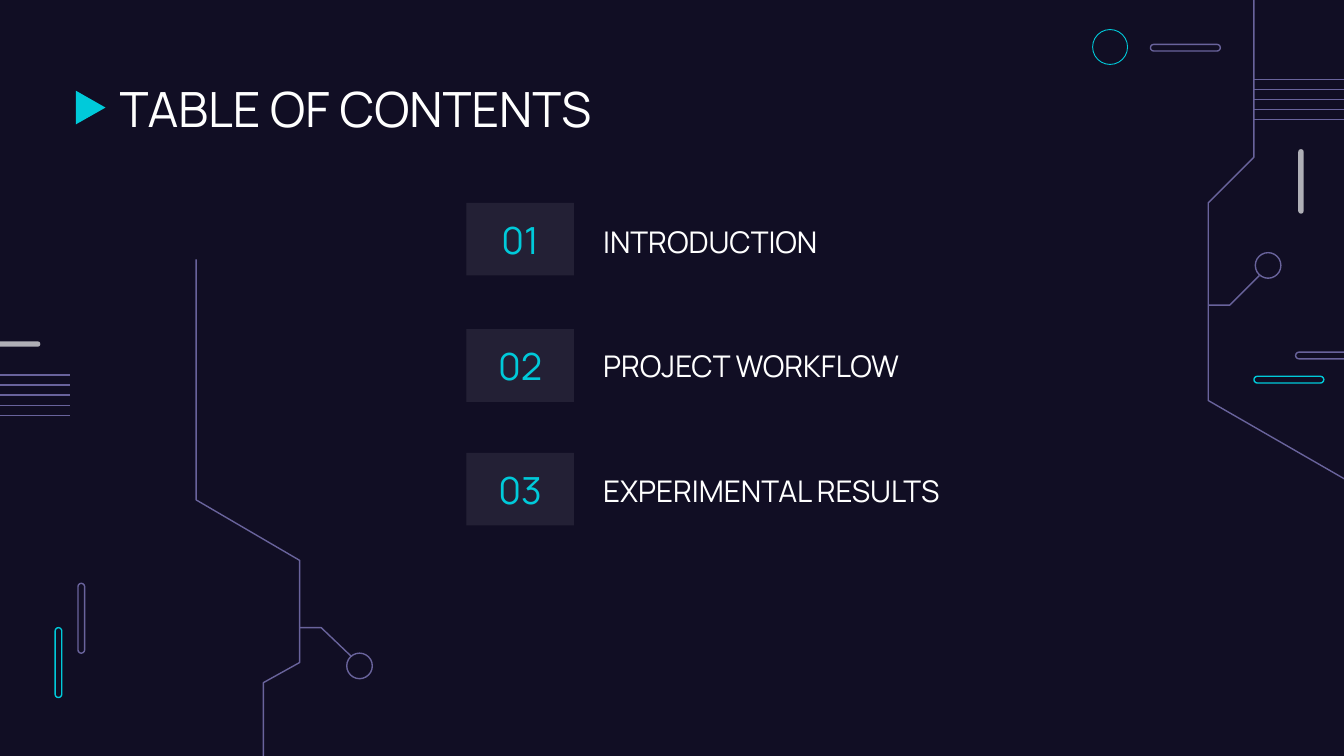
from typing import NamedTuple

from lxml import etree
from pptx import Presentation
from pptx.dml import color
from pptx.enum import shapes, text
from pptx.oxml import ns
from pptx.util import Inches, Pt

BACKDROP, WHITE, CYAN, VIOLET, GREY = "110E24", "FFFFFF", "00CADA", "69639C", "AFAFB6"
FONT = "Manrope"
KIND = shapes.MSO_SHAPE


class Ornament(NamedTuple):
    kind: int
    left: float
    top: float
    width: float
    height: float
    line: str | None = None
    fill: str | None = None
    weight: float = 0.75
    rotation: int = 0


class Trace(NamedTuple):
    points: list[tuple[float, float]]


class Stripes(NamedTuple):
    """Five evenly spaced horizontal lines."""
    start: float
    end: float
    top: float


class Entry(NamedTuple):
    number: str
    label: str
    box_top: float
    label_top: float


ORNAMENTS = [
    Ornament(KIND.ROUNDED_RECTANGLE, 0.41, 4.67, 0.05, 0.52, CYAN),
    Ornament(KIND.ROUNDED_RECTANGLE, 0.58, 4.34, 0.05, 0.52, VIOLET),
    Ornament(KIND.ROUNDED_RECTANGLE, 9.33, 2.8, 0.52, 0.05, CYAN),
    Ornament(KIND.ROUNDED_RECTANGLE, 9.64, 2.62, 0.52, 0.05, VIOLET),
    Ornament(KIND.ROUNDED_RECTANGLE, 8.56, 0.33, 0.52, 0.05, VIOLET),
    Ornament(KIND.OVAL, 8.13, 0.22, 0.26, 0.26, CYAN, weight=0.47),
    Ornament(KIND.OVAL, 9.34, 1.88, 0.19, 0.19, VIOLET),
    Ornament(KIND.OVAL, 2.58, 4.86, 0.19, 0.19, VIOLET),
    Ornament(KIND.ROUNDED_RECTANGLE, 9.66, 1.11, 0.04, 0.48, fill=GREY),
    Ornament(KIND.ROUNDED_RECTANGLE, -0.18, 2.54, 0.48, 0.04, fill=GREY),
    Ornament(KIND.FLOWCHART_MERGE, 0.55, 0.69, 0.25, 0.22, fill=CYAN, rotation=270),
]
TRACES = [
    Trace([(9.37, 2.05), (9.15, 2.27), (8.99, 2.27)]),
    Trace([(10.12, 3.63), (8.99, 2.98), (8.99, 1.51), (9.33, 1.17), (9.33, -0.06)]),
    Trace([(2.61, 4.88), (2.39, 4.67), (2.23, 4.67)]),
    Trace([(1.46, 1.93), (1.46, 3.72), (2.23, 4.17), (2.23, 4.93),
           (1.96, 5.08), (1.96, 5.71)]),
]
STRIPES = [Stripes(9.33, 10.8, 0.59), Stripes(0.52, -0.61, 2.79)]
STRIPE_COUNT, STRIPE_GAP = 5, 0.3 / 4
ENTRIES = [
    Entry("01", "INTRODUCTION", 1.51, 1.53),
    Entry("02", "PROJECT WORKFLOW", 2.45, 2.45),
    Entry("03", "EXPERIMENTAL RESULTS", 3.37, 3.38),
]


def rgb(value: str) -> color.RGBColor:
    return color.RGBColor.from_string(value)


def paint(shape, fill: str | None = None, line: str | None = None,
          weight: float = 0.75, alpha: int = 100) -> None:
    """Set fill, outline and opacity (in percent), without a shadow."""
    shape.shadow.inherit = False
    if fill:
        shape.fill.solid()
        shape.fill.fore_color.rgb = rgb(fill)
        if alpha < 100:
            tint = shape._element.spPr.find(".//" + ns.qn("a:srgbClr"))
            etree.SubElement(tint, ns.qn("a:alpha"), val=str(alpha * 1000))
    else:
        shape.fill.background()
    if line:
        shape.line.color.rgb = rgb(line)
        shape.line.width = Pt(weight)
    else:
        shape.line.fill.background()


def write(shape, words: str, *, size: float, ink: str = WHITE,
          align=text.PP_ALIGN.LEFT, anchor=text.MSO_ANCHOR.MIDDLE) -> None:
    frame = shape.text_frame
    frame.word_wrap = True
    frame.auto_size = text.MSO_AUTO_SIZE.NONE
    frame.vertical_anchor = anchor
    frame.margin_left = frame.margin_right = Inches(0.1)
    frame.margin_top = frame.margin_bottom = Inches(0.1)
    paragraph = frame.paragraphs[0]
    paragraph.alignment = align
    run = paragraph.add_run()
    run.text = words
    run.font.name = FONT
    run.font.size = Pt(size)
    run.font.color.rgb = rgb(ink)


def draw_ornament(slide, item: Ornament) -> None:
    shape = slide.shapes.add_shape(item.kind, Inches(item.left), Inches(item.top),
                                   Inches(item.width), Inches(item.height))
    if item.kind == KIND.ROUNDED_RECTANGLE:
        shape.adjustments[0] = 0.5
    shape.rotation = item.rotation
    paint(shape, item.fill, item.line, item.weight)


def draw_trace(slide, trace: Trace) -> None:
    start, *rest = [(Inches(x), Inches(y)) for x, y in trace.points]
    builder = slide.shapes.build_freeform(*start)
    builder.add_line_segments(rest, close=False)
    paint(builder.convert_to_shape(), line=VIOLET)


def draw_stripes(slide, stripes: Stripes) -> None:
    for index in range(STRIPE_COUNT):
        y = Inches(stripes.top + index * STRIPE_GAP)
        stripe = slide.shapes.add_connector(shapes.MSO_CONNECTOR.STRAIGHT,
                                            Inches(stripes.start), y,
                                            Inches(stripes.end), y)
        stripe.line.color.rgb = rgb(VIOLET)
        stripe.line.width = Pt(0.75)
        etree.SubElement(stripe._element.spPr, ns.qn("a:effectLst"))


def draw_entry(slide, entry: Entry) -> None:
    box = slide.shapes.add_shape(KIND.RECTANGLE, Inches(3.47), Inches(entry.box_top),
                                 Inches(0.8), Inches(0.54))
    paint(box, fill=WHITE, alpha=8)
    write(box, entry.number, size=20, ink=CYAN, align=text.PP_ALIGN.CENTER)
    label = slide.shapes.add_textbox(Inches(4.39), Inches(entry.label_top),
                                     Inches(2.97), Inches(0.54))
    write(label, entry.label, size=16)


def main() -> None:
    deck = Presentation()
    deck.slide_width = Inches(10)
    deck.slide_height = deck.slide_width * 9 // 16
    slide = deck.slides.add_slide(deck.slide_layouts[5])
    slide.background.fill.solid()
    slide.background.fill.fore_color.rgb = rgb(BACKDROP)

    title = slide.shapes.title
    title.left, title.top = Inches(0.79), Inches(0.49)
    title.width, title.height = Inches(8.43), Inches(0.63)
    write(title, "TABLE OF CONTENTS", size=26, anchor=text.MSO_ANCHOR.TOP)

    for ornament in ORNAMENTS:
        draw_ornament(slide, ornament)
    for trace in TRACES:
        draw_trace(slide, trace)
    for stripes in STRIPES:
        draw_stripes(slide, stripes)
    for entry in ENTRIES:
        draw_entry(slide, entry)
    deck.save("out.pptx")


if __name__ == "__main__":
    main()
